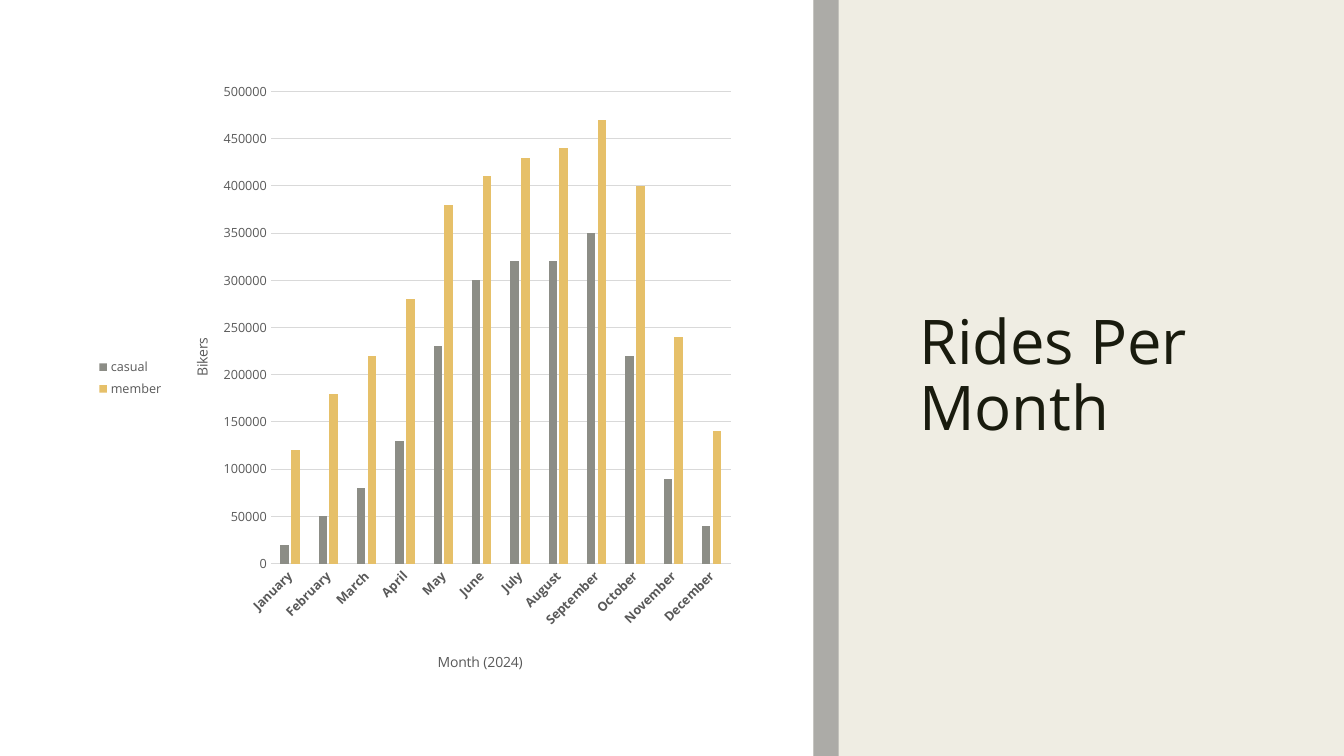
import dataclasses

import lxml.etree
import pptx
import pptx.chart.data
import pptx.dml.color
import pptx.enum.chart
import pptx.enum.shapes
import pptx.enum.text
import pptx.oxml.ns
import pptx.util

Pt = pptx.util.Pt
RGB = pptx.dml.color.RGBColor
qn = pptx.oxml.ns.qn

CREAM = RGB(0xEF, 0xED, 0xE3)
WHITE = RGB(0xFF, 0xFF, 0xFF)
GRAY = RGB(0x80, 0x80, 0x80)
INK = RGB(0x19, 0x1B, 0x0E)
SLATE = RGB(0x59, 0x59, 0x59)
PALE = RGB(0xD9, 0xD9, 0xD9)
STONE = RGB(0x8C, 0x8D, 0x86)
GOLD = RGB(0xE6, 0xC0, 0x69)
FACE = "Open Sans"
WIDE, HIGH = 960, 540
SPLIT = 581


@dataclasses.dataclass
class Panel:
    left: float
    width: float
    color: RGB
    alpha: int = 100


@dataclasses.dataclass
class Series:
    name: str
    color: RGB
    counts: list[int]


PANELS = [
    Panel(0, WIDE, CREAM),
    Panel(0, SPLIT, WHITE),
    Panel(SPLIT, 18, GRAY, 60),
]
MONTHS = ["January", "February", "March", "April", "May", "June", "July",
          "August", "September", "October", "November", "December"]
RIDERS = [
    Series("casual", STONE, [20000, 50000, 80000, 130000, 230000, 300000,
                             320000, 320000, 350000, 220000, 90000, 40000]),
    Series("member", GOLD, [120000, 180000, 220000, 280000, 380000, 410000,
                            430000, 440000, 470000, 400000, 240000, 140000]),
]


def style(font, size: float, color: RGB, bold: bool = False) -> None:
    font.name = FACE
    font.size = Pt(size)
    font.bold = bold
    font.color.rgb = color


def write(frame, text: str, *, size: float, color: RGB, bold: bool = False,
          space: float | None = None) -> None:
    line = frame.paragraphs[0]
    line.line_spacing = space
    run = line.add_run()
    run.text = text
    style(run.font, size, color, bold)


def draw_panel(slide, panel: Panel) -> None:
    shape = slide.shapes.add_shape(
        pptx.enum.shapes.MSO_SHAPE.RECTANGLE,
        Pt(panel.left), 0, Pt(panel.width), Pt(HIGH))
    shape.shadow.inherit = False
    shape.line.fill.background()
    shape.fill.solid()
    shape.fill.fore_color.rgb = panel.color
    if panel.alpha < 100:
        tint = shape.element.spPr.find(".//" + qn("a:srgbClr"))
        lxml.etree.SubElement(tint, qn("a:alpha"), val=str(panel.alpha * 1000))


def place(node, **spots: float) -> None:
    layout = node.find(qn("c:layout"))
    if layout is None:
        layout = lxml.etree.Element(qn("c:layout"))
        node.insert(0, layout)
    manual = lxml.etree.SubElement(layout, qn("c:manualLayout"))
    if "w" in spots:
        lxml.etree.SubElement(manual, qn("c:layoutTarget"), val="inner")
    for key in "xy":
        lxml.etree.SubElement(manual, qn(f"c:{key}Mode"), val="edge")
    for key, part in spots.items():
        lxml.etree.SubElement(manual, qn(f"c:{key}"), val=str(part))


def dress_axis(axis, title: str, x: float, y: float, bold: bool) -> None:
    write(axis.axis_title.text_frame, title, size=10, color=SLATE)
    place(axis.axis_title.element if hasattr(axis.axis_title, "element")
          else axis.axis_title._element, x=x, y=y)
    axis.major_tick_mark = pptx.enum.chart.XL_TICK_MARK.NONE
    axis.minor_tick_mark = pptx.enum.chart.XL_TICK_MARK.NONE
    style(axis.tick_labels.font, 9, SLATE, bold)


def rule(line) -> None:
    line.color.rgb = PALE
    line.width = Pt(0.75)


def draw_chart(slide) -> None:
    data = pptx.chart.data.CategoryChartData(number_format="General")
    data.categories = MONTHS
    for group in RIDERS:
        data.add_series(group.name, group.counts)
    chart = slide.shapes.add_chart(
        pptx.enum.chart.XL_CHART_TYPE.COLUMN_CLUSTERED,
        Pt(62), Pt(50.4), Pt(469.5), Pt(439.2), data).chart
    style(chart.font, 10, SLATE)
    chart.has_title = False
    chart.has_legend = True
    chart.legend.position = pptx.enum.chart.XL_LEGEND_POSITION.LEFT
    chart.legend.include_in_layout = False
    style(chart.legend.font, 9, SLATE)

    plot = chart.plots[0]
    plot.vary_by_categories = False
    plot.gap_width = 219
    plot.overlap = -27
    for group, bars in zip(RIDERS, plot.series):
        bars.format.fill.solid()
        bars.format.fill.fore_color.rgb = group.color
    place(chart.element.find(".//" + qn("c:plotArea")),
          x=0.28, y=0.034, w=0.7, h=0.768)

    months, counts = chart.category_axis, chart.value_axis
    dress_axis(months, "Month (2024)", 0.53, 0.94, True)
    dress_axis(counts, "Bikers", 0.155, 0.43, False)
    rule(months.format.line)
    turn = chart.element.find(
        ".//" + qn("c:catAx") + "/" + qn("c:txPr") + "/" + qn("a:bodyPr"))
    turn.set("rot", "-2700000")
    turn.set("vert", "horz")
    counts.minimum_scale = 0
    counts.maximum_scale = 500000
    counts.major_unit = 50000
    counts.format.line.fill.background()
    counts.has_major_gridlines = True
    rule(counts.major_gridlines.format.line)


def draw_title(slide) -> None:
    box = slide.shapes.add_textbox(Pt(649.4), Pt(50.4), Pt(260), Pt(439.2))
    frame = box.text_frame
    frame.word_wrap = True
    frame.vertical_anchor = pptx.enum.text.MSO_ANCHOR.MIDDLE
    write(frame, "Rides Per Month", size=44, color=INK, space=0.89)


def main() -> None:
    deck = pptx.Presentation()
    deck.slide_width, deck.slide_height = Pt(WIDE), Pt(HIGH)
    slide = deck.slides.add_slide(deck.slide_layouts[6])
    for panel in PANELS:
        draw_panel(slide, panel)
    draw_chart(slide)
    draw_title(slide)
    deck.save("out.pptx")


main()
